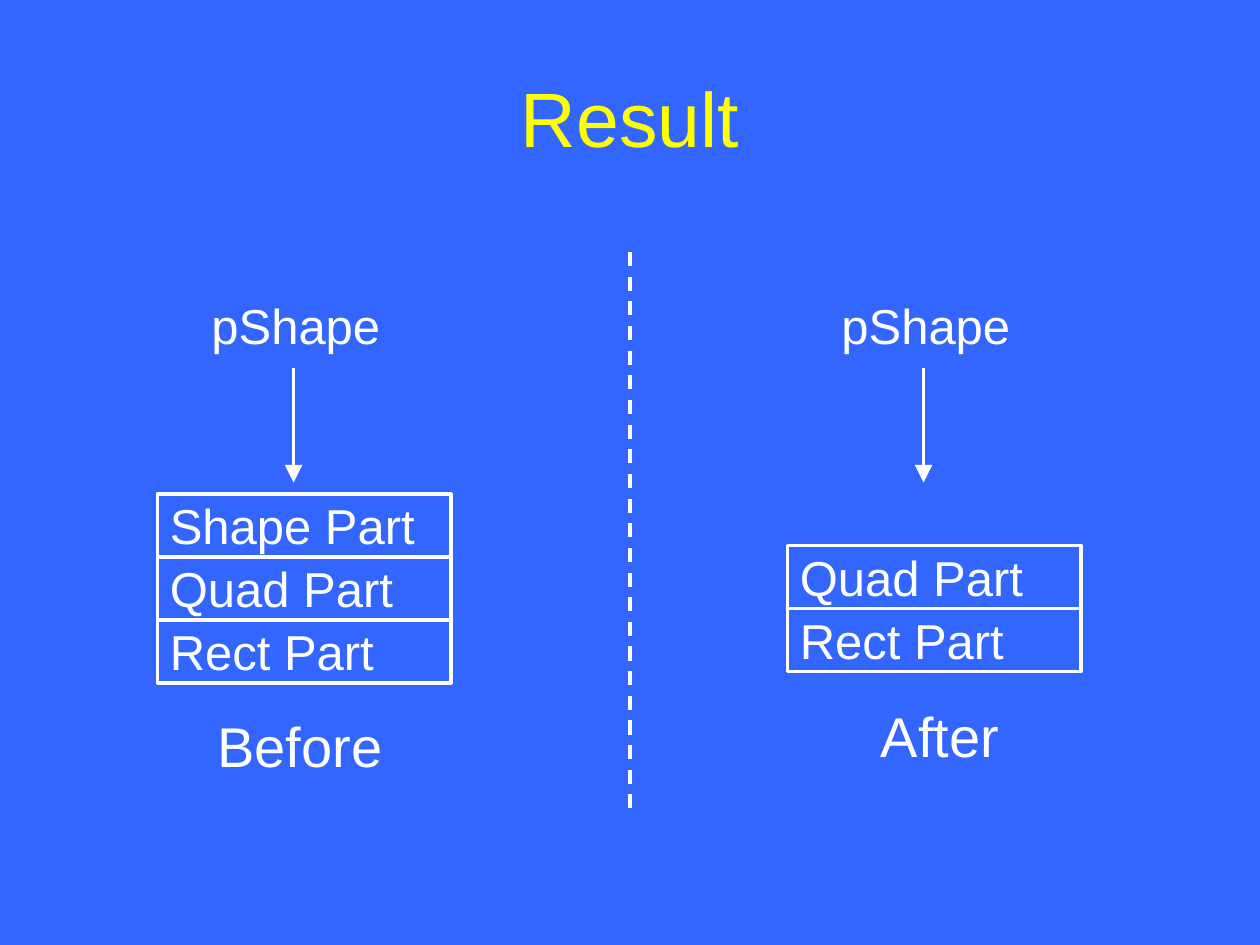
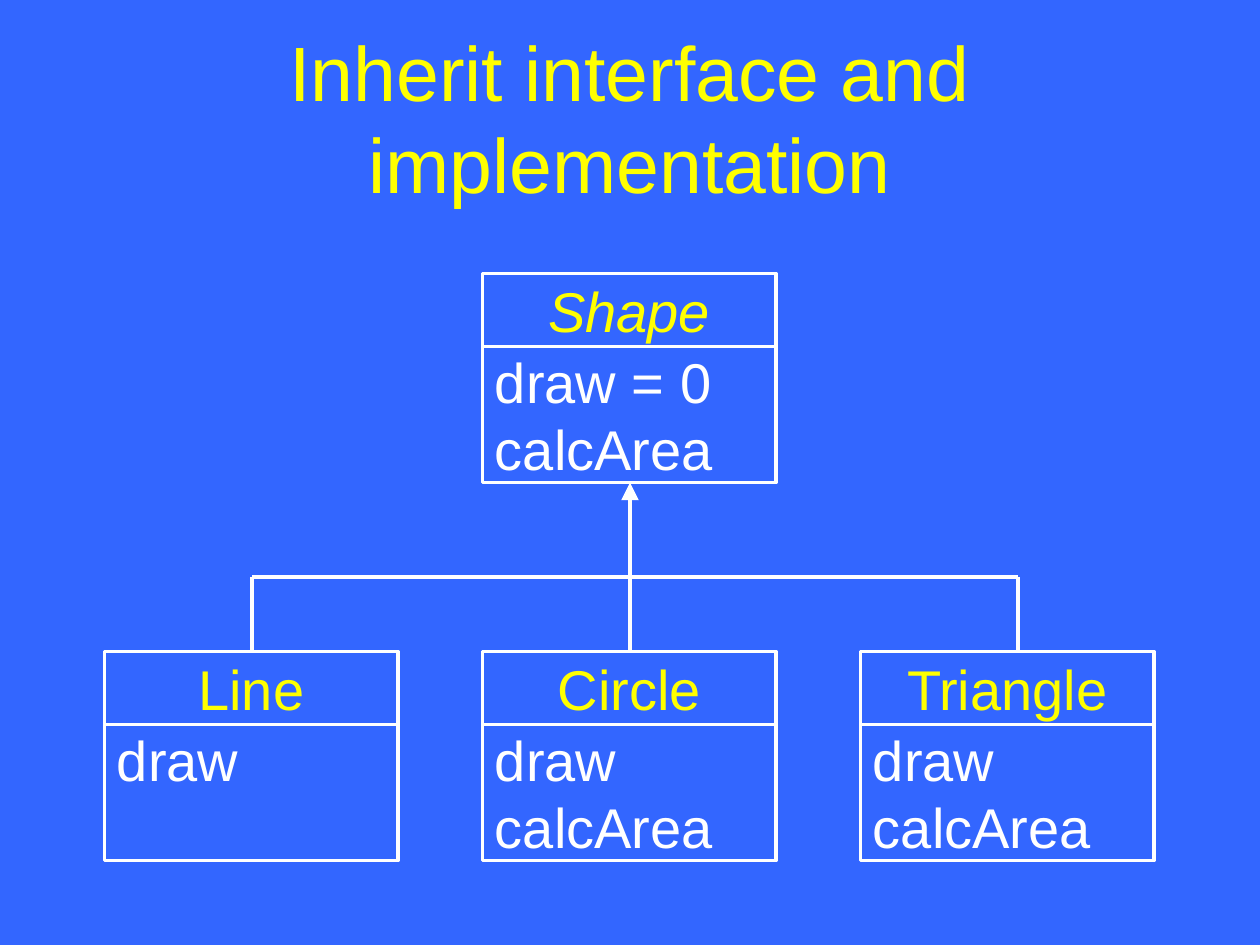
"""Build two slides on slicing a shape object and on inheriting its interface."""
import pptx
import pptx.dml.color
import pptx.enum.dml
import pptx.enum.shapes
import pptx.enum.text
import pptx.oxml
import pptx.oxml.ns
import pptx.util

Inches = pptx.util.Inches
ALIGN = pptx.enum.text.PP_ALIGN
ANCHOR = pptx.enum.text.MSO_ANCHOR

BLUE, YELLOW, WHITE = "3366FF", "FFFF00", "FFFFFF"
FONT = "Arial"

RESULT_TITLE = "Result"
POINTER = "pShape"
SIDES = [
    {"left": 1.25, "top": 3.92, "parts": ["Shape Part", "Quad Part", "Rect Part"],
     "caption": "Before", "caption_at": (1.42, 5.58)},
    {"left": 6.25, "top": 4.33, "parts": ["Quad Part", "Rect Part"],
     "caption": "After", "caption_at": (6.5, 5.5)},
]
INHERIT_TITLE = "Inherit interface and implementation"
BASE = ("Shape", ["draw = 0", "calcArea"])
DERIVED = [
    ("Line", ["draw"]),
    ("Circle", ["draw", "calcArea"]),
    ("Triangle", ["draw", "calcArea"]),
]

BOX_W, PART_H = 2.33, 0.5
NAME_H, MEMBERS_H = 0.58, 1.08
CLASS_LEFT, CLASS_STEP = 0.83, 3
BASE_TOP, DERIVED_TOP, BUS_Y = 2.17, 5.17, 4.58


def rgb(color):
    return pptx.dml.color.RGBColor.from_string(color)


def write(s, lines, size, color=WHITE, align=ALIGN.LEFT, anchor=ANCHOR.MIDDLE, italic=False):
    tf = s.text_frame
    tf.text = "\n".join(lines)
    tf.word_wrap = True
    tf.auto_size = pptx.enum.text.MSO_AUTO_SIZE.NONE
    tf.vertical_anchor = anchor
    for p in tf.paragraphs:
        p.alignment = align
        p.font.name = FONT
        p.font.size = pptx.util.Pt(size)
        p.font.color.rgb = rgb(color)
        p.font.italic = italic
    return tf


def add_box(slide, left, top, height, lines, size, **style):
    s = slide.shapes.add_shape(pptx.enum.shapes.MSO_SHAPE.RECTANGLE,
                               *map(Inches, (left, top, BOX_W, height)))
    s.shadow.inherit = False
    s.fill.background()
    s.line.color.rgb = rgb(WHITE)
    s.line.width = pptx.util.Pt(2)
    return write(s, lines, size, **style)


def add_label(slide, left, top, width, height, text, size, **style):
    s = slide.shapes.add_textbox(*map(Inches, (left, top, width, height)))
    return write(s, [text], size, **style)


def add_line(slide, x1, y1, x2, y2, arrow=False, dashed=False):
    c = slide.shapes.add_connector(pptx.enum.shapes.MSO_CONNECTOR.STRAIGHT,
                                   *map(Inches, (x1, y1, x2, y2)))
    c.line.color.rgb = rgb(WHITE)
    c.line.width = pptx.util.Pt(2)
    if dashed:
        c.line.dash_style = pptx.enum.dml.MSO_LINE.DASH
    if arrow:
        ln = c.line._get_or_add_ln()
        ln.append(pptx.oxml.parse_xml(
            f'<a:tailEnd {pptx.oxml.ns.nsdecls("a")} type="triangle" w="lg" len="lg"/>'))
    c._element.spPr.append(pptx.oxml.parse_xml(
        f'<a:effectLst {pptx.oxml.ns.nsdecls("a")}/>'))


def add_slide(prs, title):
    slide = prs.slides.add_slide(prs.slide_layouts[5])
    s = slide.shapes.title
    s.left, s.top, s.width, s.height = map(Inches, (0.5, 0.3, 9, 1.25))
    write(s, [title], 44, color=YELLOW, align=ALIGN.CENTER)
    return slide


def add_class(slide, left, top, name, members, italic=False):
    add_box(slide, left, top, NAME_H, [name], 32,
            color=YELLOW, align=ALIGN.CENTER, italic=italic)
    tf = add_box(slide, left, top + NAME_H, MEMBERS_H, members, 32, anchor=ANCHOR.TOP)
    tf.margin_top = tf.margin_bottom = Inches(0.01)


def build_result(prs):
    slide = add_slide(prs, RESULT_TITLE)
    add_line(slide, 5, 2, 5, 6.42, dashed=True)
    for side in SIDES:
        left = side["left"]
        tf = add_label(slide, left + 0.33, 2.33, 1.5, 0.5, POINTER, 28)
        tf.margin_right = 0
        add_line(slide, left + 1.08, 2.92, left + 1.08, 3.83, arrow=True)
        for i, part in enumerate(side["parts"]):
            add_box(slide, left, side["top"] + i * PART_H, PART_H, [part], 28)
        add_label(slide, *side["caption_at"], 1.92, 0.67, side["caption"], 32,
                  align=ALIGN.CENTER)


def build_inheritance(prs):
    slide = add_slide(prs, INHERIT_TITLE)
    stems = [2, 5, 8.08]
    add_line(slide, stems[0], BUS_Y, stems[-1], BUS_Y)
    for i, (x, (name, members)) in enumerate(zip(stems, DERIVED)):
        add_line(slide, x, BUS_Y, x, DERIVED_TOP)
        add_class(slide, CLASS_LEFT + i * CLASS_STEP, DERIVED_TOP, name, members)
    add_line(slide, 5, 4.75, 5, BASE_TOP + NAME_H + MEMBERS_H, arrow=True)
    add_class(slide, CLASS_LEFT + CLASS_STEP, BASE_TOP, *BASE, italic=True)


def main():
    prs = pptx.Presentation()
    prs.slide_width, prs.slide_height = Inches(10), Inches(7.5)
    fill = prs.slide_master.background.fill
    fill.solid()
    fill.fore_color.rgb = rgb(BLUE)
    build_result(prs)
    build_inheritance(prs)
    prs.save("out.pptx")


if __name__ == "__main__":
    main()
